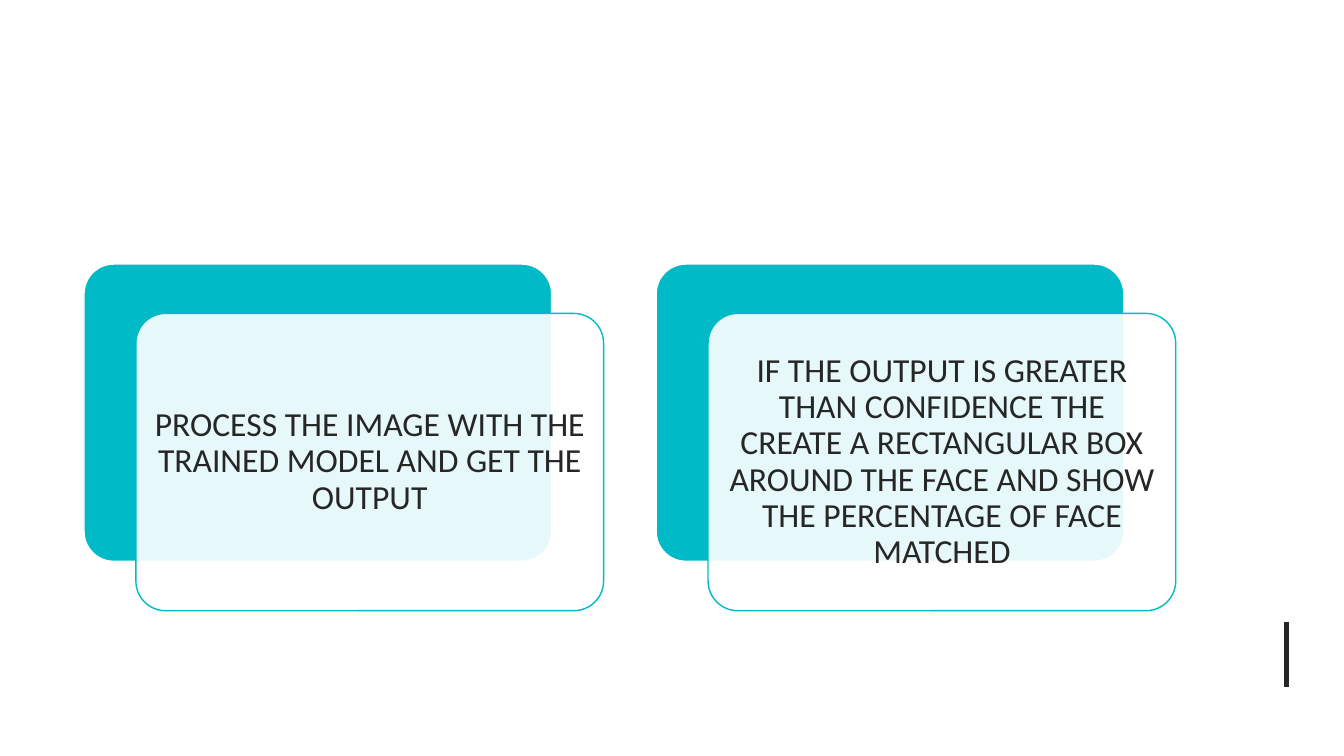
from lxml.etree import SubElement
from pptx import Presentation
from pptx.dml.color import RGBColor
from pptx.enum.shapes import MSO_CONNECTOR, MSO_SHAPE
from pptx.enum.text import MSO_ANCHOR, PP_ALIGN
from pptx.oxml.ns import qn
from pptx.util import Inches, Pt

STEPS = [
    "PROCESS THE IMAGE WITH THE TRAINED MODEL AND GET THE OUTPUT",
    "IF THE OUTPUT IS GREATER THAN CONFIDENCE THE CREATE A RECTANGULAR BOX "
    "AROUND THE FACE AND SHOW THE PERCENTAGE OF FACE MATCHED",
]


def rgb(color):
    return RGBColor.from_string(color)


class Deck:
    """Slide style and drawing methods; positions are percentages of the slide size."""

    font, size = "Calibri", 24
    teal, ink, white = "00BAC8", "262626", "FFFFFF"

    def __init__(self):
        self.prs = Presentation()
        self.prs.slide_width, self.prs.slide_height = Inches(13.33), Inches(7.5)
        self.s = self.prs.slides.add_slide(self.prs.slide_layouts[6])

    def x(self, share):
        return round(self.prs.slide_width * share / 100)

    def y(self, share):
        return round(self.prs.slide_height * share / 100)

    def card(self, left, top, width, height, fill, line, opacity=100):
        sp = self.s.shapes.add_shape(MSO_SHAPE.ROUNDED_RECTANGLE, self.x(left), self.y(top),
                                     self.x(width), self.y(height))
        sp.adjustments[0] = 0.1
        sp.shadow.inherit = False
        sp.fill.solid()
        sp.fill.fore_color.rgb = rgb(fill)
        sp.line.color.rgb = rgb(line)
        sp.line.width = Pt(1)
        if opacity < 100:
            clr = sp._element.spPr.find(qn("a:solidFill"))[0]
            SubElement(clr, qn("a:alpha"), val=str(opacity * 1000))
        return sp

    def label(self, sp, text):
        tf = sp.text_frame
        tf.word_wrap = True
        tf.vertical_anchor = MSO_ANCHOR.MIDDLE
        tf.margin_left = tf.margin_right = tf.margin_top = tf.margin_bottom = Inches(0.09)
        tf.text = text
        p = tf.paragraphs[0]
        p.alignment = PP_ALIGN.CENTER
        p.line_spacing = 0.9
        r = p.runs[0]
        r.font.name, r.font.size = self.font, Pt(self.size)
        r.font.color.rgb = rgb(self.ink)

    def step(self, left, top, text):
        width, height = 34.8, 39.33
        self.card(left, top, width, height, self.teal, self.white)
        front = self.card(left + 3.86, top + 6.53, width, height, self.white, self.teal, 90)
        self.label(front, text)

    def rule(self, left, top, bottom):
        line = self.s.shapes.add_connector(MSO_CONNECTOR.STRAIGHT, self.x(left), self.y(top),
                                           self.x(left), self.y(bottom))
        line.line.color.rgb = rgb(self.ink)
        line.line.width = Pt(3)
        SubElement(line._element.spPr, qn("a:effectLst"))


def main():
    deck = Deck()
    deck.rule(95.72, 82.27, 90.93)
    for i, text in enumerate(STEPS):
        deck.step(6.25 + i * 42.57, 34.93, text)
    deck.prs.save("out.pptx")


if __name__ == "__main__":
    main()
